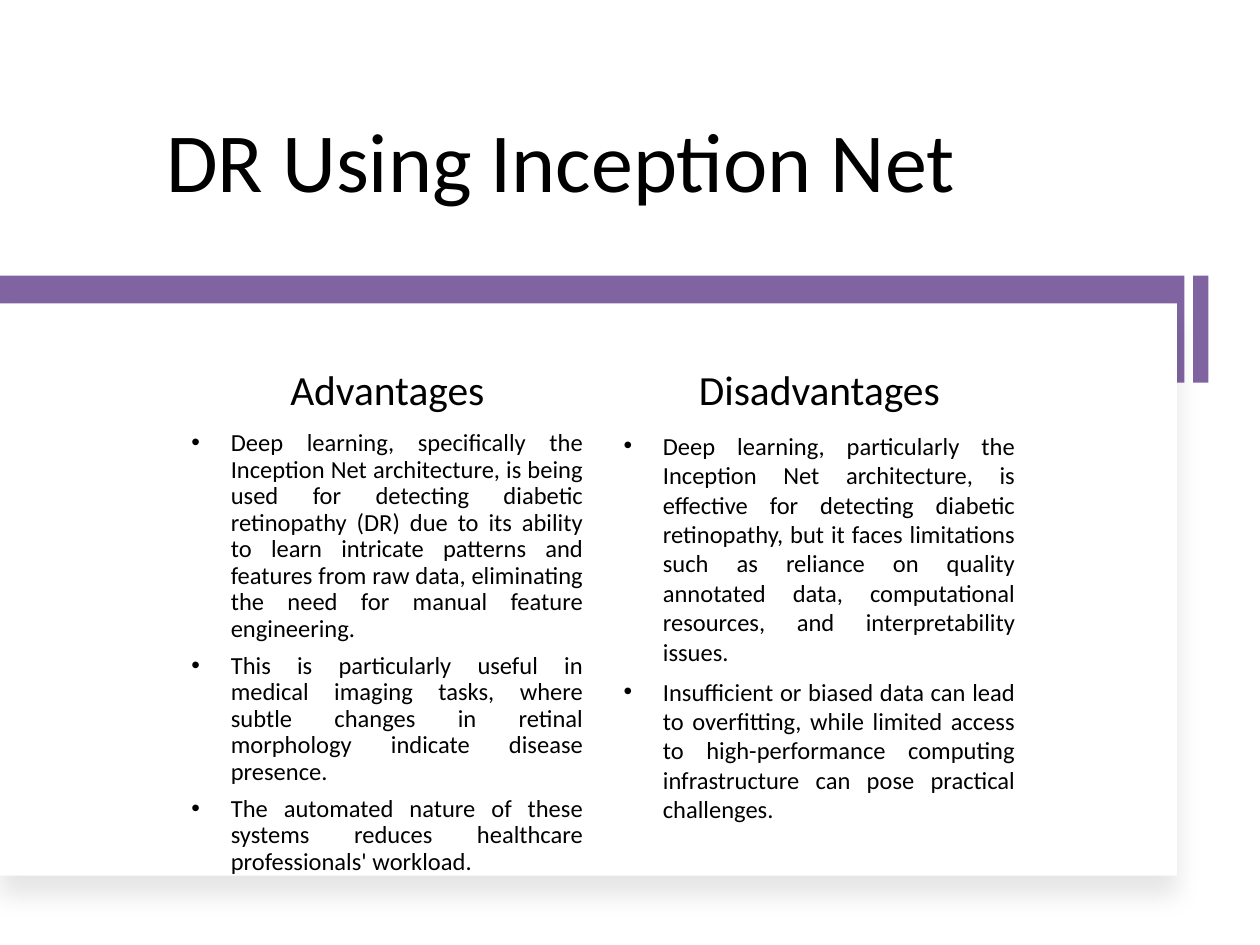
from dataclasses import dataclass

import pptx
import pptx.dml.color
import pptx.enum.shapes
import pptx.enum.text
import pptx.oxml
import pptx.oxml.ns
import pptx.util

Pt = pptx.util.Pt
ALIGN = pptx.enum.text.PP_ALIGN
ANCHOR = pptx.enum.text.MSO_ANCHOR


@dataclass(frozen=True)
class Theme:
    font: str = "Calibri"
    ink: str = "000000"
    accent: str = "8064A2"
    card: str = "FFFFFF"
    title: float = 48
    heading: float = 23.7
    body: float = 14


THEME = Theme()

ADVANTAGES = [
    "Deep learning, specifically the Inception Net architecture, is being used for "
    "detecting diabetic retinopathy (DR) due to its ability to learn intricate patterns "
    "and features from raw data, eliminating the need for manual feature engineering.",
    "This is particularly useful in medical imaging tasks, where subtle changes in "
    "retinal morphology indicate disease presence.",
    "The automated nature of these systems reduces healthcare professionals' workload.",
]
DISADVANTAGES = [
    "Deep learning, particularly the Inception Net architecture, is effective for "
    "detecting diabetic retinopathy, but it faces limitations such as reliance on quality "
    "annotated data, computational resources, and interpretability issues.",
    "Insufficient or biased data can lead to overfitting, while limited access to "
    "high-performance computing infrastructure can pose practical challenges.",
]


def place(shape, box):
    shape.left, shape.top, shape.width, shape.height = (Pt(length) for length in box)


def write(holder, box, paragraphs, *, size, align, anchor=ANCHOR.TOP,
          spacing=1.0, after=0, indent=0):
    """Fill a placeholder; a positive indent hangs the text behind its bullet."""
    place(holder, box)
    frame = holder.text_frame
    frame.text = "\n".join(paragraphs)
    frame.word_wrap = True
    frame.auto_size = pptx.enum.text.MSO_AUTO_SIZE.NONE
    frame.vertical_anchor = anchor
    for paragraph in frame.paragraphs:
        paragraph.alignment = align
        paragraph.line_spacing = spacing
        paragraph.space_before = Pt(0)
        paragraph.space_after = Pt(after)
        properties = paragraph._p.get_or_add_pPr()
        properties.set("marL", str(Pt(indent)))
        properties.set("indent", str(-Pt(indent)))
        for run in paragraph.runs:
            run.font.name = THEME.font
            run.font.size = Pt(size)
            run.font.bold = False
            run.font.color.rgb = pptx.dml.color.RGBColor.from_string(THEME.ink)


def add_block(slide, box, color):
    block = slide.shapes.add_shape(pptx.enum.shapes.MSO_SHAPE.RECTANGLE,
                                   *(Pt(length) for length in box))
    block.shadow.inherit = False
    block.fill.solid()
    block.fill.fore_color.rgb = pptx.dml.color.RGBColor.from_string(color)
    block.line.fill.background()
    return block


def add_soft_shadow(shape):
    effects = shape.element.spPr.find(pptx.oxml.ns.qn("a:effectLst"))
    effects.append(pptx.oxml.parse_xml(
        f'<a:outerShdw {pptx.oxml.ns.nsdecls("a")} blurRad="{Pt(15)}" dist="{Pt(11)}" '
        'dir="5400000" algn="t" rotWithShape="0"><a:srgbClr val="000000">'
        '<a:alpha val="10000"/></a:srgbClr></a:outerShdw>'))


def build_backdrop(slide, box):
    """Accent bar and strip with the white card over them, all behind the text."""
    left, top, width, height = box
    bar_height, bar_width, strip_width = 61.2, 676.8, 8.8
    bar = add_block(slide, (left, top, bar_width, bar_height), THEME.accent)
    strip = add_block(slide, (left + width - strip_width, top, strip_width, bar_height),
                      THEME.accent)
    card = add_block(slide, (left, top + 15.8, bar_width - 4.3, height - 15.8), THEME.card)
    add_soft_shadow(card)
    tree = slide.shapes.element
    for position, part in enumerate((strip, bar, card), start=2):
        tree.remove(part.element)
        tree.insert(position, part.element)


def build_column(heading, points, box, title, items, spacing):
    left, top, width, height = box
    heading_height = 38
    write(heading, (left, top, width, heading_height), [title],
          size=THEME.heading, align=ALIGN.CENTER, after=6)
    write(points, (left, top + heading_height, width, height - heading_height), items,
          size=THEME.body, align=ALIGN.JUSTIFY, spacing=spacing, after=6, indent=22.5)


def build_comparison(slide, box):
    left, top, width, height = box
    gap = 8.6
    column_width = (width - gap) / 2
    holders = {holder.placeholder_format.idx: holder for holder in slide.placeholders}
    columns = [("Advantages", ADVANTAGES, 0.9), ("Disadvantages", DISADVANTAGES, 1.0)]
    for number, column in enumerate(columns):
        build_column(holders[1 + 2 * number], holders[2 + 2 * number],
                     (left + number * (column_width + gap), top, column_width, height),
                     *column)


def main():
    deck = pptx.Presentation()
    deck.slide_width, deck.slide_height = Pt(720), Pt(540)
    slide = deck.slides.add_slide(deck.slide_layouts.get_by_name("Comparison"))
    build_backdrop(slide, (0, 157.5, 690.6, 342.9))
    write(slide.shapes.title, (47.5, 30.2, 545.8, 93.6), ["DR Using Inception Net"],
          size=THEME.title, align=ALIGN.CENTER, anchor=ANCHOR.BOTTOM, spacing=0.9)
    build_comparison(slide, (102.2, 204.5, 485.2, 271.4))
    deck.save("out.pptx")


if __name__ == "__main__":
    main()
